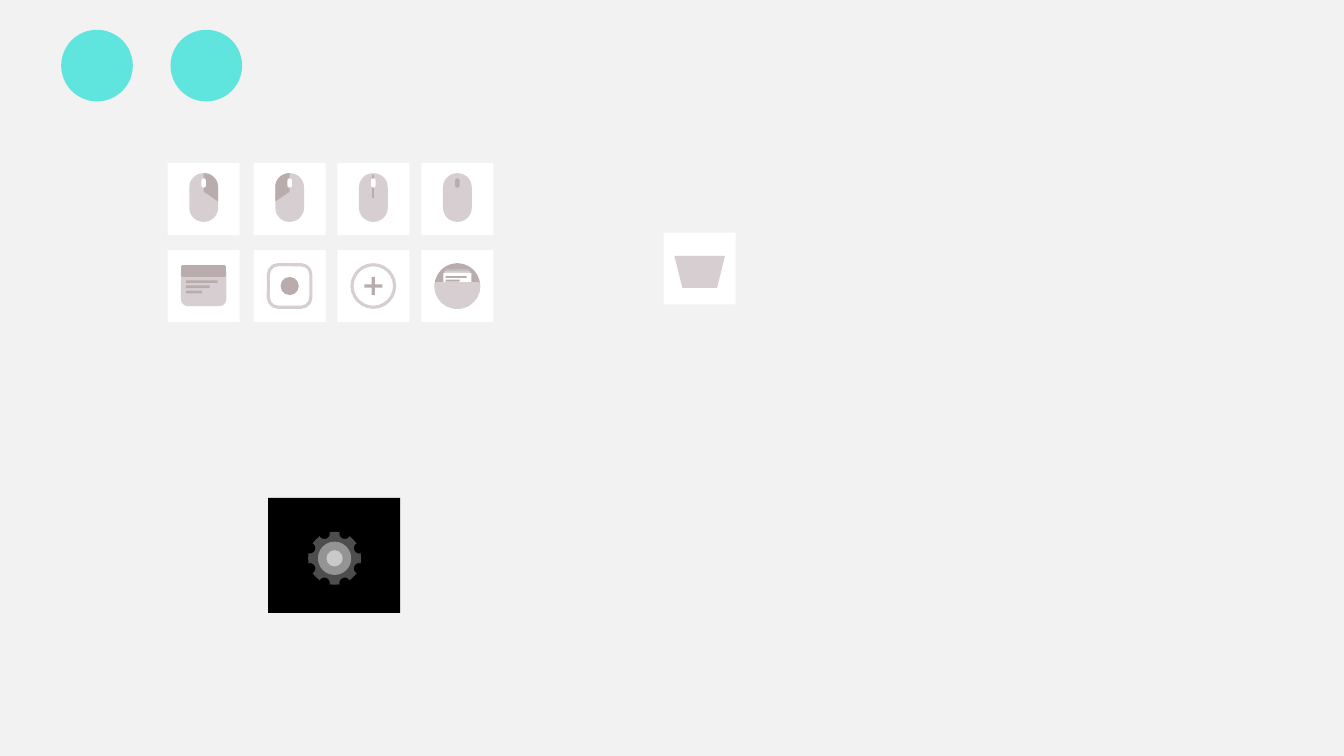
from math import cos, radians, sin

from lxml.etree import SubElement
from pptx import Presentation
from pptx.dml.color import RGBColor
from pptx.enum.shapes import MSO_CONNECTOR, MSO_SHAPE
from pptx.oxml.ns import qn
from pptx.util import Pt

LIGHT, DARK, WHITE, TEAL = "D6CED1", "B8ACAD", "FFFFFF", "5FE5DD"
TILE = 51.4
COLUMNS = (119.8, 181.2, 241, 301)
MOUSE_ROW, ICON_ROW = 116.6, 178.6


def rgb(color):
    return RGBColor.from_string(color)


def style(sp, fill=None, line=None, alpha=None):
    """Set fill and outline; alpha is the fill's opacity in percent."""
    sp.shadow.inherit = False
    if fill:
        sp.fill.solid()
        sp.fill.fore_color.rgb = rgb(fill)
    else:
        sp.fill.background()
    if line:
        sp.line.color.rgb = rgb(line)
        sp.line.width = Pt(2.25)
    else:
        sp.line.fill.background()
    if alpha:
        color = sp._element.spPr.find(qn("a:solidFill"))[0]
        SubElement(color, qn("a:alpha"), val=str(alpha * 1000))


def add_preset(shapes, kind, x, y, w, h, fill=None, line=None, adj=None, alpha=None):
    sp = shapes.add_shape(kind, Pt(x), Pt(y), Pt(w), Pt(h))
    if adj is not None:
        sp.adjustments[0] = adj
    style(sp, fill, line, alpha)
    return sp


def add_rect(shapes, x, y, w, h, fill, line=None):
    return add_preset(shapes, MSO_SHAPE.RECTANGLE, x, y, w, h, fill, line)


def add_round(shapes, x, y, w, h, fill=None, line=None, adj=0.49):
    return add_preset(shapes, MSO_SHAPE.ROUNDED_RECTANGLE, x, y, w, h, fill, line, adj)


def add_circle(shapes, cx, cy, r, fill=None, line=None, alpha=None):
    return add_preset(shapes, MSO_SHAPE.OVAL, cx - r, cy - r, 2 * r, 2 * r,
                      fill, line, alpha=alpha)


def add_outline(shapes, points, fill, line=None, alpha=None):
    points = [(Pt(x), Pt(y)) for x, y in points]
    builder = shapes.build_freeform(*points[0])
    builder.add_line_segments(points[1:], close=True)
    style(builder.convert_to_shape(), fill, line, alpha)


def arc(cx, cy, r, start, end, steps=16):
    """Points on a circle from start to end, in degrees clockwise from the right."""
    angles = [radians(start + (end - start) * i / steps) for i in range(steps + 1)]
    return [(cx + r * cos(a), cy + r * sin(a)) for a in angles]


def add_tile(slide, x, y):
    """Add a white square and return its group's shapes."""
    shapes = slide.shapes.add_group_shape().shapes
    add_rect(shapes, x, y, TILE, TILE, WHITE)
    return shapes


def add_mouse(slide, x, button=0, stem=False, wheel=WHITE):
    """button is 1 for a marked right button, -1 for left, 0 for none."""
    shapes = add_tile(slide, x, MOUSE_ROW)
    cx, top = x + TILE / 2, MOUSE_ROW + 7.1
    add_round(shapes, cx - 10.3, top, 20.6, 34.8, LIGHT)
    if button:
        curve = arc(cx + button * 0.3, top + 10, 10, -90, -90 + button * 90)
        add_outline(shapes, [(cx, top), *curve, (cx + button * 10.3, top + 20.2),
                             (cx, top + 13.2)], DARK)
    if stem:
        cxn = shapes.add_connector(MSO_CONNECTOR.STRAIGHT, Pt(cx), Pt(top + 1.6),
                                   Pt(cx), Pt(top + 17.8))
        cxn.line.color.rgb = rgb(DARK)
        cxn.line.width = Pt(1.5)
        SubElement(cxn._element.spPr, qn("a:effectLst"))
    add_round(shapes, cx - 1.6, top + 3.7, 3.2, 6.6, wheel)


def add_window(slide, x, y):
    shapes = add_tile(slide, x, y)
    add_round(shapes, x + 10.5, y + 12, 30.3, 27, LIGHT, LIGHT, adj=0.15)
    add_rect(shapes, x + 10.5, y + 12, 30.3, 6, DARK, DARK)
    for i, width in enumerate((22.6, 17, 11.4)):
        add_rect(shapes, x + 13, y + 21.6 + 3.7 * i, width, 1.9, DARK)


def add_record(slide, x, y):
    shapes = add_tile(slide, x, y)
    add_round(shapes, x + 10.5, y + 10.5, 30.4, 30.4, line=LIGHT, adj=0.23)
    add_circle(shapes, x + TILE / 2, y + TILE / 2, 6.5, DARK)


def add_plus(slide, x, y):
    shapes = add_tile(slide, x, y)
    add_circle(shapes, x + TILE / 2, y + TILE / 2, 15.2, line=LIGHT)
    add_preset(shapes, MSO_SHAPE.CROSS, x + 19.2, y + 19.2, 13, 13, DARK, adj=0.41)


def add_folder(slide, x, y):
    shapes = add_tile(slide, x, y)
    cx, cy = x + TILE / 2, y + TILE / 2
    add_circle(shapes, cx, cy, 15.2, DARK, DARK)
    for i, fill in enumerate(("BFBFBF", LIGHT, WHITE)):
        width = 16.6 + 1.7 * i
        add_rect(shapes, cx - width / 2, y + 13.6 + 1.4 * i, width, 20, fill)
    add_outline(shapes, arc(cx, cy, 15.2, -6, 186, 32), LIGHT, LIGHT)
    for i, width in enumerate((15, 10)):
        add_rect(shapes, x + 17.4, y + 18.6 + 2.6 * i, width, 1.4, DARK)


def add_basket(slide, x, y):
    shapes = add_tile(slide, x, y)
    basket = add_preset(shapes, MSO_SHAPE.TRAPEZOID, x + 7.6, y + 16.6, 36.2, 23,
                        LIGHT, adj=0.25)
    basket.rotation = 180


def add_gear(slide, cx, cy):
    shapes = slide.shapes.add_group_shape().shapes
    outline = []
    for tooth in range(0, 360, 45):
        outline += arc(cx, cy, 18.9, tooth - 9, tooth + 9, 2)
        notch = tooth + 22.5
        nx, ny = arc(cx, cy, 19.1, notch, notch, 1)[0]
        outline += arc(nx, ny, 3.9, notch - 95, notch - 265, 10)
    add_outline(shapes, outline, WHITE, alpha=30)
    for radius, alpha in ((11.9, 40), (5.8, 50)):
        add_circle(shapes, cx, cy, radius, WHITE, alpha=alpha)


def main():
    prs = Presentation()
    prs.slide_width, prs.slide_height = Pt(960), Pt(540)
    s = prs.slides.add_slide(prs.slide_layouts[6])
    s.background.fill.solid()
    s.background.fill.fore_color.rgb = rgb("F2F2F2")

    add_rect(s.shapes, 191.6, 355.7, 94.3, 82.2, "000000")
    for x in (121.8, 43.7):
        add_round(s.shapes, x, 21.3, 51.2, 51.2, TEAL, adj=0.5)

    mice = ({"button": 1}, {"button": -1}, {"stem": True}, {"wheel": DARK})
    for x, mouse in zip(COLUMNS, mice):
        add_mouse(s, x, **mouse)
    for x, add_icon in zip(COLUMNS, (add_window, add_record, add_plus, add_folder)):
        add_icon(s, x, ICON_ROW)
    add_basket(s, 474.1, 166.1)
    add_gear(s, 239, 398.8)
    prs.save("out.pptx")


if __name__ == "__main__":
    main()
